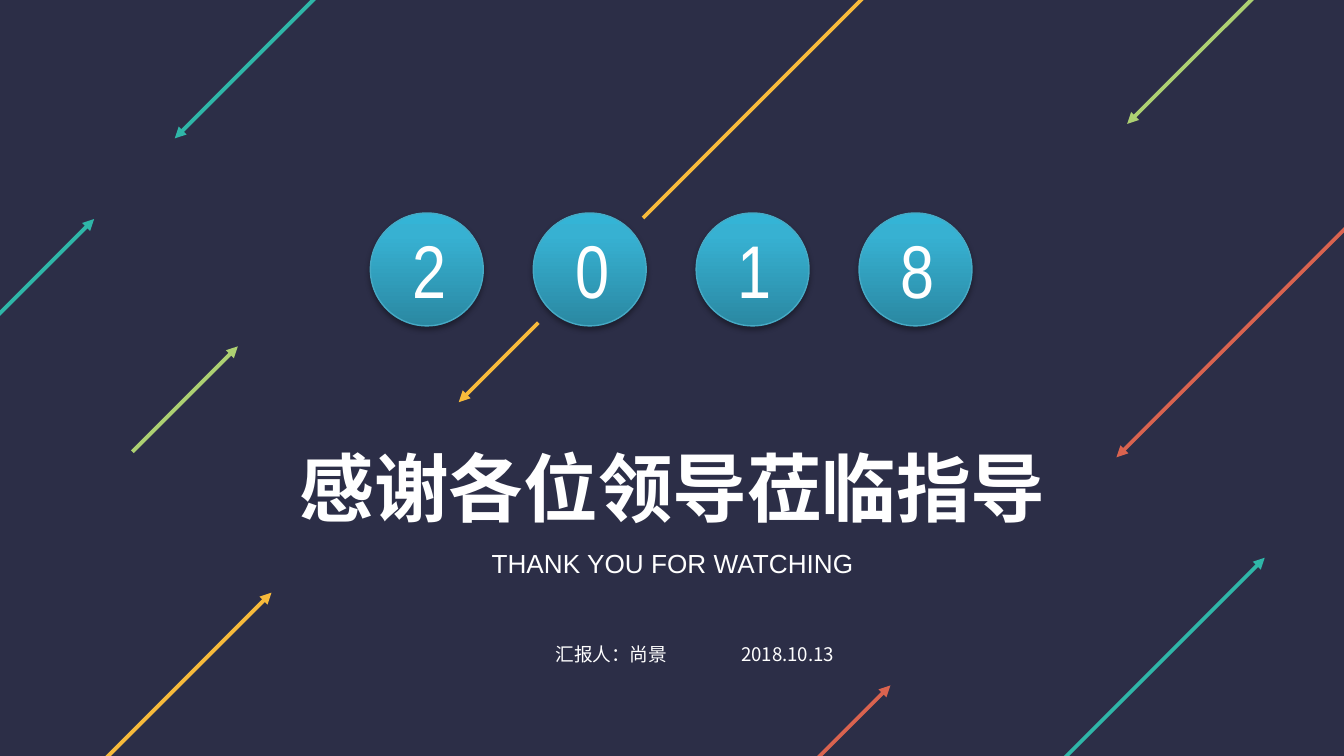
import copy

import pptx
import pptx.dml.color
import pptx.enum.shapes
import pptx.enum.text
import pptx.oxml
import pptx.oxml.ns
import pptx.util
from lxml import etree

qn = pptx.oxml.ns.qn
ALIGN = pptx.enum.text.PP_ALIGN
FIT = pptx.enum.text.MSO_AUTO_SIZE.SHAPE_TO_FIT_TEXT
OVAL = pptx.enum.shapes.MSO_SHAPE.OVAL
LINE = pptx.enum.shapes.MSO_CONNECTOR.STRAIGHT

# Palette
NAVY, WHITE = "2C2E47", "FFFFFF"
GOLD, TEAL, LIME, RED = "F7BA3B", "2FB6A8", "ADD072", "DA634F"
RIM = "46AAC5"
GLOSS = [(0, "2A88A2"), (0.8, "37B1D2"), (1, "34B4D6")]
CJK = "Noto Sans CJK SC"

# A 16:9 slide; grid of 100 square units across
WIDE = pptx.util.Inches(10)
HIGH = WIDE * 9 // 16
UNIT = WIDE / 100


def grid(*nums):
    return [round(n * UNIT) for n in nums]


def tint(code):
    return pptx.dml.color.RGBColor.from_string(code)


def style(item, form):
    for key, val in form.items():
        setattr(item, key, val)


def arrow(slide, tip, run, hue):
    """Diagonal arrow; the tail lies run units right of and above the tip."""
    x, y = tip
    line = slide.shapes.add_connector(LINE, *grid(x + run, y - run, x, y))
    line.line.color.rgb = tint(hue)
    line.line.width = pptx.util.Pt(2)
    etree.SubElement(line.line._get_or_add_ln(), qn("a:tailEnd"), type="triangle")
    etree.SubElement(line.element.spPr, qn("a:effectLst"))


def disc(slide, x, y, size):
    """Plain circle centred on x, y."""
    oval = slide.shapes.add_shape(OVAL, *grid(x - size / 2, y - size / 2, size, size))
    oval.shadow.inherit = False
    oval.fill.solid()
    oval.fill.fore_color.rgb = tint(NAVY)
    oval.line.fill.background()
    return oval


def ball(slide, x, y, size):
    """Glossy circle with a rim and a soft shadow."""
    oval = disc(slide, x, y, size)
    oval.line.color.rgb = tint(RIM)
    oval.line.width = pptx.util.Pt(0.75)
    oval.fill.gradient()
    oval.fill.gradient_angle = 90
    stops = oval.element.spPr.find(".//" + qn("a:gsLst"))
    stops.append(copy.deepcopy(stops[0]))
    for stop, (pos, hue) in zip(oval.fill.gradient_stops, GLOSS):
        stop.position = pos
        stop.color.rgb = tint(hue)
    glow = etree.SubElement(
        oval.element.spPr.find(qn("a:effectLst")), qn("a:outerShdw"),
        blurRad=str(pptx.util.Pt(3.1)), dist=str(pptx.util.Pt(1.8)),
        dir="5400000", rotWithShape="0")
    shade = etree.SubElement(glow, qn("a:srgbClr"), val="000000")
    etree.SubElement(shade, qn("a:alpha"), val="35000")


def label(slide, box, words, size, font, align, bold=False, tight=True):
    frame = slide.shapes.add_textbox(*grid(*box)).text_frame
    style(frame, {"word_wrap": not tight, "auto_size": FIT})
    if tight:
        style(frame, dict.fromkeys(
            ("margin_left", "margin_top", "margin_right", "margin_bottom"), 0))
    para = frame.paragraphs[0]
    para.alignment = align
    run = para.add_run()
    run.text = words
    style(run.font, {"name": font, "size": pptx.util.Pt(size), "bold": bold})
    run.font.color.rgb = tint(WHITE)
    etree.SubElement(run.font._element, qn("a:ea"), typeface=CJK)


def year(slide):
    """Row of four balls, one digit each."""
    left, mid, step = 31.76, 20.05, 12.12
    spots = [(left + step * col, digit) for col, digit in enumerate("2018")]
    for x, digit in spots:
        if digit != "1":  # this ball has no ring behind it
            disc(slide, x, mid, 11)
        ball(slide, x, mid, 8.4)
    for x, digit in spots:
        label(slide, (x - 2.08, 16.2, 4.2, 7.7), digit, 40, "Arial Narrow",
              ALIGN.CENTER, tight=False)


def main():
    deck = pptx.Presentation()
    style(deck, {"slide_width": WIDE, "slide_height": HIGH})
    slide = deck.slides.add_slide(deck.slide_layouts[6])
    slide.background.fill.solid()
    slide.background.fill.fore_color.rgb = tint(NAVY)

    # Long arrow passing behind the year
    arrow(slide, (34.13, 29.93), 31.75, GOLD)
    year(slide)

    # Closing words
    label(slide, (22, 32.85, 56.1, 6.7), "感谢各位领导莅临指导", 40, "Arial",
          ALIGN.CENTER, bold=True)
    label(slide, (36.5, 40.75, 27.1, 2.4), "THANK YOU FOR WATCHING", 14, "Arial",
          ALIGN.CENTER)

    # Scattered arrows: tip, run, colour
    for tip, run, hue in [
        ((7, 16.3), -10.55, TEAL),
        ((83.87, 9.22), 11.8, LIME),
        ((20.2, 44.1), -18.9, GOLD),
        ((83.07, 34.03), 21.6, RED),
        ((94.1, 41.5), -18.1, TEAL),
        ((66.25, 51), -8.4, RED),
        ((13, 10.3), 16.8, TEAL),
        ((17.7, 25.77), -7.85, LIME),
    ]:
        arrow(slide, tip, run, hue)

    # Speaker and date
    label(slide, (41.33, 47.85, 8.3, 1.7), "汇报人：尚景", 10, CJK, ALIGN.RIGHT)
    label(slide, (55.14, 47.85, 7.3, 1.7), "2018.10.13", 10, CJK, ALIGN.LEFT)

    deck.save("out.pptx")


if __name__ == "__main__":
    main()
